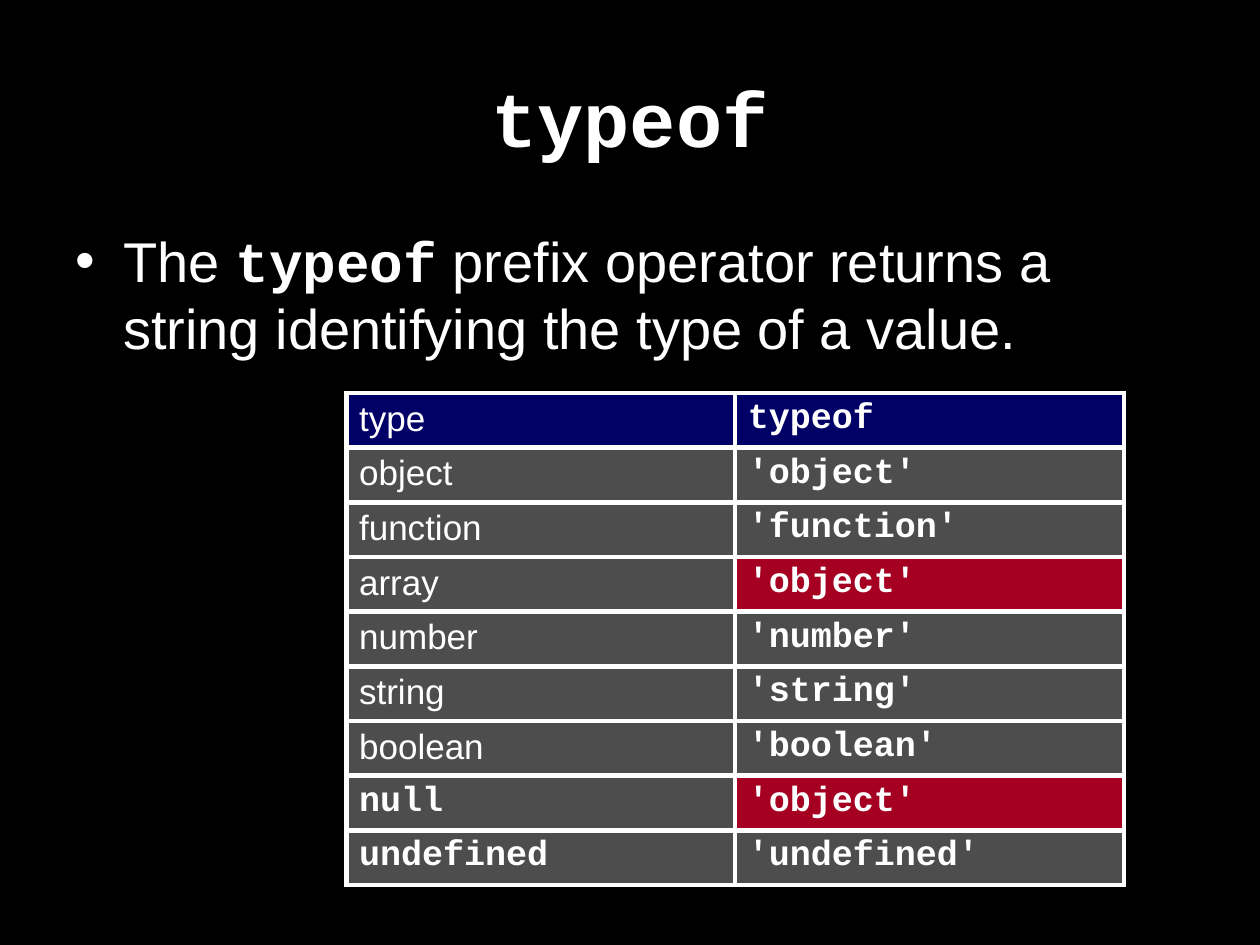
from lxml.etree import SubElement
from pptx import Presentation
from pptx.dml.color import RGBColor
from pptx.enum.text import MSO_ANCHOR, PP_ALIGN
from pptx.oxml.ns import qn
from pptx.util import Inches, Pt

COLORS = {
    "background": "000000",
    "white": "FFFFFF",
    "header": "000066",
    "cell": "4D4D4D",
    "surprise": "A50021",
}
PROSE = {"name": "Arial", "bold": False}
CODE = {"name": "Courier New", "bold": True}
TYPES = [
    ("type", "typeof"),
    ("object", "'object'"),
    ("function", "'function'"),
    ("array", "'object'"),
    ("number", "'number'"),
    ("string", "'string'"),
    ("boolean", "'boolean'"),
    ("null", "'object'"),
    ("undefined", "'undefined'"),
]
CODE_NAMES = {"null", "undefined"}
SURPRISES = {"array", "null"}


def color(key):
    """Return the named colour."""
    return RGBColor.from_string(COLORS[key])


def fill_solid(fill, key):
    """Apply a solid fill in the named colour."""
    fill.solid()
    fill.fore_color.rgb = color(key)


def add_run(paragraph, text, size, style):
    """Add a white run in the given style."""
    run = paragraph.add_run()
    run.text = text
    for name, value in {**style, "size": Pt(size)}.items():
        setattr(run.font, name, value)
    run.font.color.rgb = color("white")


def set_title(slide, text):
    """Place and format the title."""
    title = slide.shapes.title
    position = {"left": 0.5, "top": 0.3, "width": 9, "height": 1.25}
    for name, value in position.items():
        setattr(title, name, Inches(value))
    title.text_frame.vertical_anchor = MSO_ANCHOR.MIDDLE
    paragraph = title.text_frame.paragraphs[0]
    paragraph.alignment = PP_ALIGN.CENTER
    add_run(paragraph, text, 44, CODE)


def add_bullet(slide, pieces):
    """Add a bulleted sentence made of styled pieces."""
    box = slide.shapes.add_textbox(Inches(0.5), Inches(1.75), Inches(9), Inches(1.3))
    box.text_frame.word_wrap = True
    paragraph = box.text_frame.paragraphs[0]
    paragraph.space_before = Pt(6.4)
    properties = paragraph._p.get_or_add_pPr()
    properties.set("marL", str(Inches(0.38)))
    properties.set("indent", str(Inches(-0.38)))
    SubElement(properties, qn("a:buFont"), typeface="Arial")
    SubElement(properties, qn("a:buChar"), char="•")
    for text, style in pieces:
        add_run(paragraph, text, 32, style)


def set_borders(cell):
    """Draw white borders on every side of a cell."""
    properties = cell._tc.get_or_add_tcPr()
    for index, side in enumerate(("lnL", "lnR", "lnT", "lnB")):
        line = properties.makeelement(qn(f"a:{side}"), {"w": str(Pt(3))})
        solid = SubElement(line, qn("a:solidFill"))
        SubElement(solid, qn("a:srgbClr"), val=COLORS["white"])
        properties.insert(index, line)


def format_cell(cell, text, style, fill):
    """Write, fill and border one table cell."""
    add_run(cell.text_frame.paragraphs[0], text, 20, style)
    fill_solid(cell.fill, fill)
    set_borders(cell)


def add_type_table(slide):
    """Add the table of types and their typeof results."""
    row_height = Inches(0.42)
    table = slide.shapes.add_table(
        len(TYPES), 2, Inches(2.75), Inches(3.12), Inches(6.17), row_height * len(TYPES)
    ).table
    for index, (kind, result) in enumerate(TYPES):
        table.rows[index].height = row_height
        base = "cell" if index else "header"
        kind_style = CODE if kind in CODE_NAMES else PROSE
        result_fill = "surprise" if kind in SURPRISES else base
        format_cell(table.cell(index, 0), kind, kind_style, base)
        format_cell(table.cell(index, 1), result, CODE, result_fill)


def main():
    """Build and save the slide."""
    presentation = Presentation()
    presentation.slide_width = Inches(10)
    presentation.slide_height = Inches(7.5)
    slide = presentation.slides.add_slide(presentation.slide_layouts[5])
    fill_solid(slide.background.fill, "background")
    set_title(slide, "typeof")
    add_bullet(slide, [
        ("The ", PROSE),
        ("typeof", CODE),
        (" prefix operator returns a string identifying the type of a value.", PROSE),
    ])
    add_type_table(slide)
    presentation.save("out.pptx")


if __name__ == "__main__":
    main()
